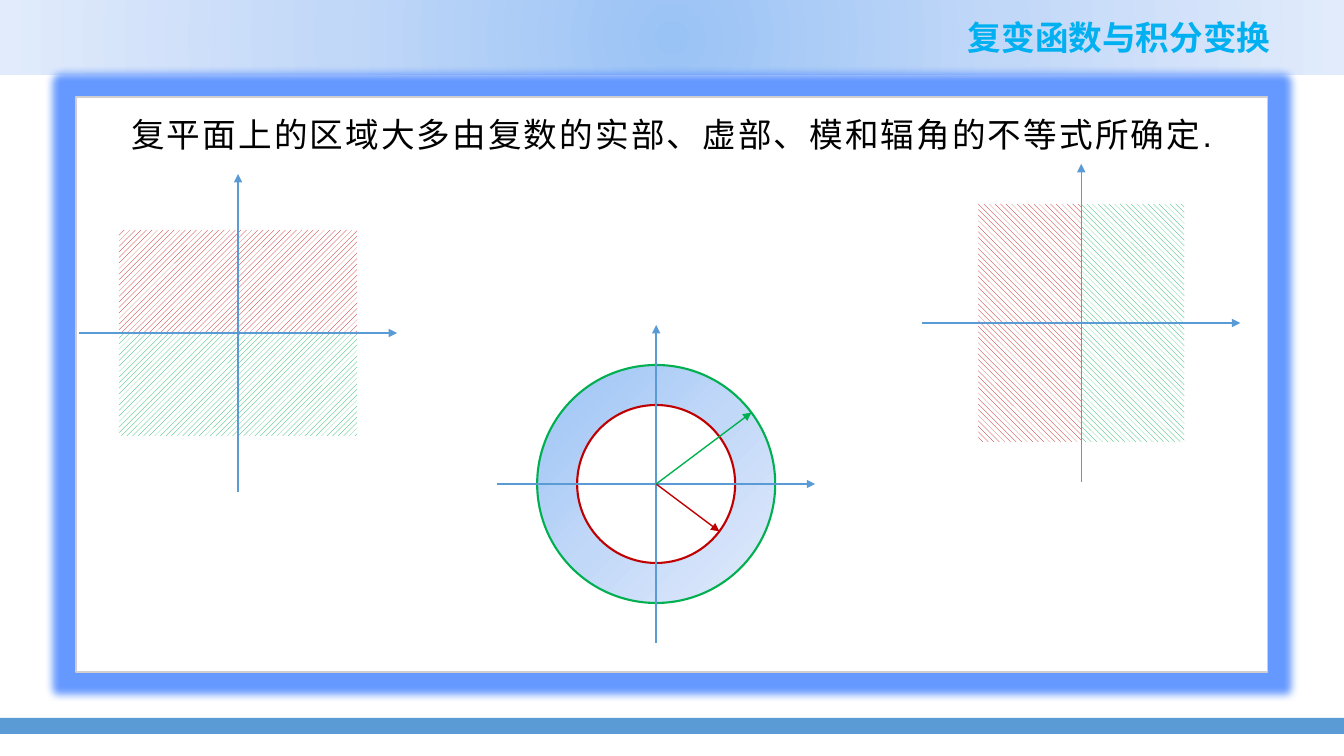
from lxml import etree
from pptx import Presentation
from pptx import util as u
from pptx.dml.color import RGBColor
from pptx.enum import dml, shapes, text
from pptx.oxml import parse_xml
from pptx.oxml.ns import qn

TITLE = "复变函数与积分变换"
BODY = "复平面上的区域大多由复数的实部、虚部、模和辐角的不等式所确定."
RED, GREEN, BLUE, WHITE = "C00000", "00B050", "5B9BD5", "FFFFFF"
STOPS = [(0, "9AC3F5"), (50, "C2D8F8"), (100, "E1EBFB")]
FRAME = (76, 97, 1191, 575)
HALF, DEEP, AXIS = 119, 103, 159
DOWN, UP = dml.MSO_PATTERN.WIDE_DOWNWARD_DIAGONAL, dml.MSO_PATTERN.WIDE_UPWARD_DIAGONAL
PLANES = [
    ((1081, 323), DOWN, [((0, -HALF, DEEP, 2 * HALF), GREEN),
                         ((-DEEP, -HALF, DEEP, 2 * HALF), RED)]),
    ((238, 333), UP, [((-HALF, -DEEP, 2 * HALF, DEEP), RED),
                      ((-HALF, 0, 2 * HALF, DEEP), GREEN)]),
]
RING = (656, 484)
RADII = [(79, 1, RED), (HALF, -1, GREEN)]
CIRCLE = '<a:path path="circle"><a:fillToRect l="50000" t="50000" r="50000" b="50000"/></a:path>'
SLOPE = '<a:lin ang="2700000" scaled="0"/>'
NS = 'xmlns:a="http://schemas.openxmlformats.org/drawingml/2006/main"'
RECT, OVAL = shapes.MSO_SHAPE.RECTANGLE, shapes.MSO_SHAPE.OVAL

deck = Presentation()
deck.slide_width, deck.slide_height = u.Inches(13.33), u.Inches(7.5)
slide = deck.slides.add_slide(deck.slide_layouts[6])


def px(*sizes):
    return [u.Emu(round(size * 914400 / 100.8)) for size in sizes]


def tint(code):
    return RGBColor.from_string(code)


def shape(kind, box, fill=None, line=None, width=1):
    item = slide.shapes.add_shape(kind, *px(*box))
    item.shadow.inherit = False
    if fill:
        item.fill.solid()
        item.fill.fore_color.rgb = tint(fill)
    if line:
        item.line.color.rgb = tint(line)
        item.line.width = u.Pt(width)
    else:
        item.line.fill.background()
    return item


def blend(item, way):
    stops = "".join(f'<a:gs pos="{pos * 1000}"><a:srgbClr val="{code}"/></a:gs>'
                    for pos, code in STOPS)
    grad = f'<a:gradFill {NS} rotWithShape="1"><a:gsLst>{stops}</a:gsLst>{way}</a:gradFill>'
    item._element.spPr.find(qn("a:prstGeom")).addnext(parse_xml(grad))


def disc(radius, *style):
    x, y = RING
    return shape(OVAL, (x - radius, y - radius, 2 * radius, 2 * radius), *style)


def arrow(start, end, code):
    item = slide.shapes.add_connector(shapes.MSO_CONNECTOR.STRAIGHT, *px(*start, *end))
    item.line.color.rgb = tint(code)
    item.line.width = u.Pt(1)
    etree.SubElement(item.line._get_or_add_ln(), qn("a:tailEnd"), type="triangle")
    etree.SubElement(item._element.spPr, qn("a:effectLst"))


def axes(x, y):
    arrow((x - AXIS, y), (x + AXIS, y), BLUE)
    arrow((x, y + AXIS), (x, y - AXIS), BLUE)


def label(box, words, face, code, align, bold=False, gap=0):
    frame = slide.shapes.add_textbox(*px(*box)).text_frame
    frame.word_wrap = True
    para = frame.paragraphs[0]
    run = para.add_run()
    run.text = words
    para.alignment = align
    font = para.font
    font.name, font.size, font.bold = face, u.Pt(24), bold
    font.color.rgb = tint(code)
    props = run._r.get_or_add_rPr()
    props.set("lang", "zh-CN")
    if gap:
        props.set("spc", str(gap))
    etree.SubElement(props, qn("a:ea"), typeface="Noto Sans CJK SC")
    return para


blend(shape(RECT, (0, 0, 1344, 75)), CIRCLE)
shape(RECT, (0, 718, 1344, 16), BLUE)
label((901, 12, 379, 50), TITLE, "Noto Sans CJK SC", "00B0F0", text.PP_ALIGN.RIGHT, True)
panel = shape(RECT, FRAME, WHITE, "D0CECE")
glow = etree.SubElement(panel._element.spPr.find(qn("a:effectLst")), qn("a:glow"), rad="139700")
etree.SubElement(glow, qn("a:srgbClr"), val="6699FF")
para = label(FRAME, BODY, "Arial", "000000", text.PP_ALIGN.CENTER, gap=150)
para.line_spacing = 1.3
para.space_after = u.Pt(6)

for (x, y), hatch, zones in PLANES:
    for (left, top, wide, high), code in zones:
        zone = shape(RECT, (x + left, y + top, wide, high))
        zone.fill.patterned()
        zone.fill.pattern = hatch
        zone.fill.fore_color.rgb = tint(code)
        zone.fill.back_color.rgb = tint(WHITE)
    axes(x, y)

blend(disc(HALF, None, GREEN, 1.5), SLOPE)
disc(79, WHITE, RED, 1.5)
axes(*RING)
for size, side, code in RADII:
    arrow(RING, (RING[0] + size * 0.8, RING[1] + side * size * 0.6), code)

deck.save("out.pptx")
